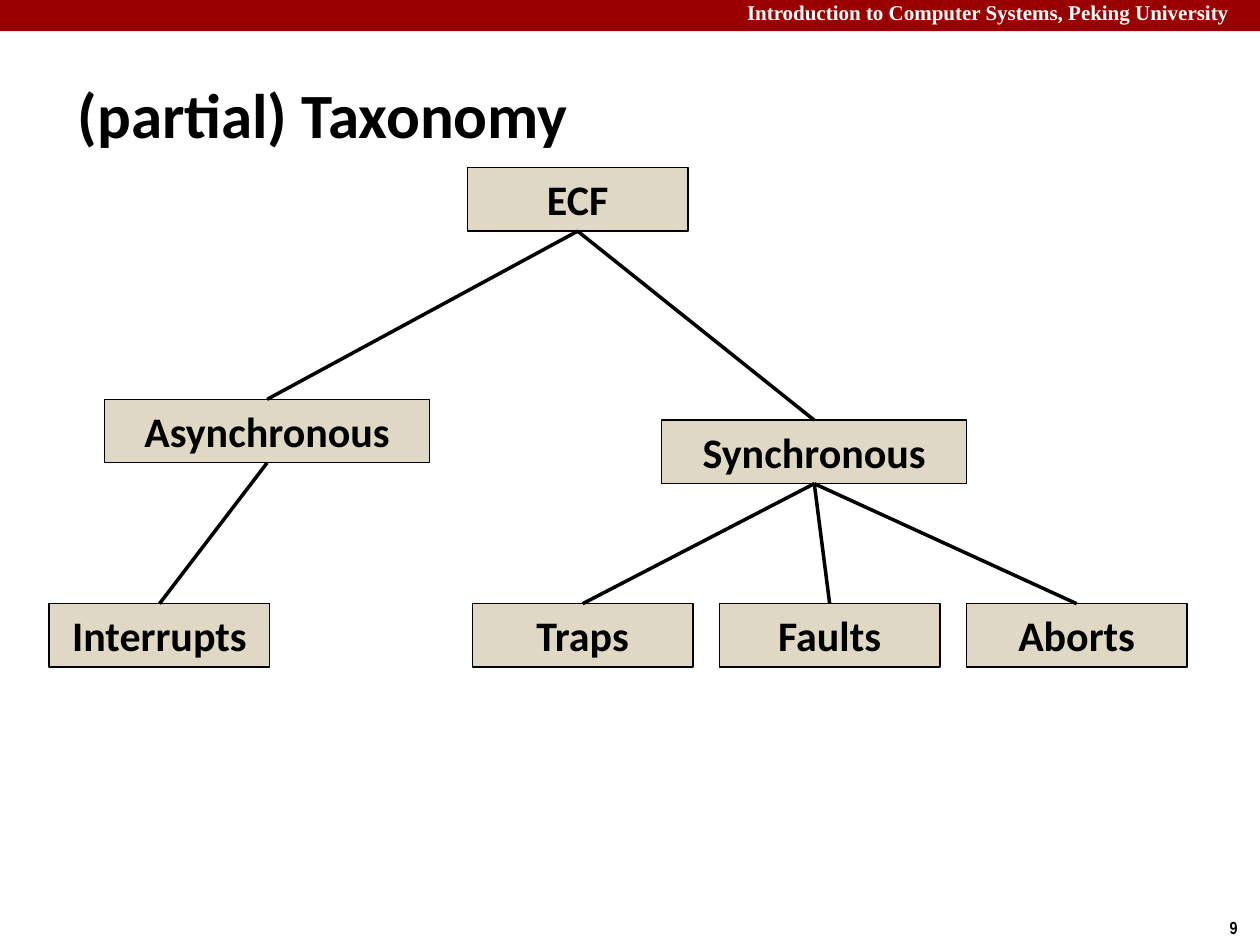
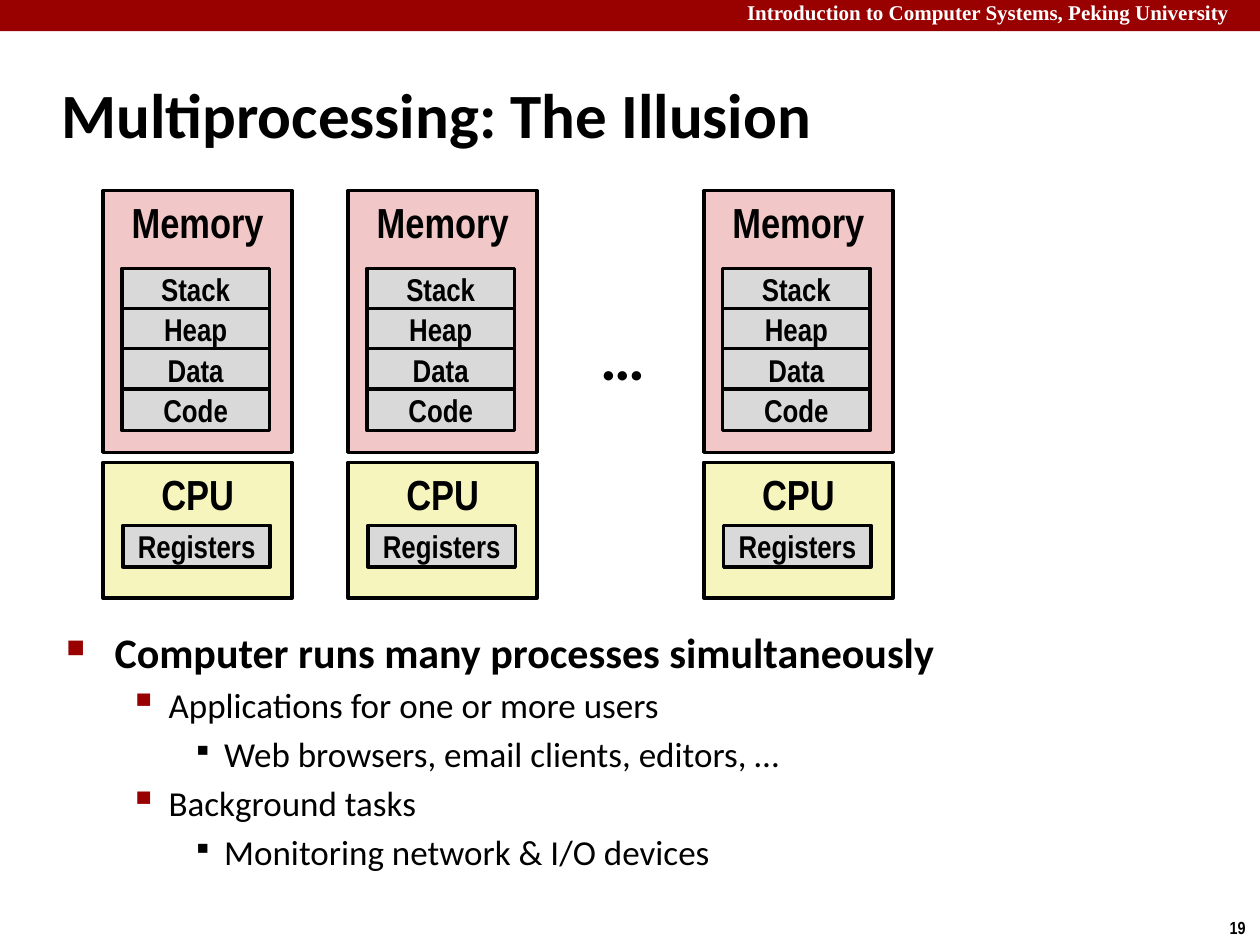
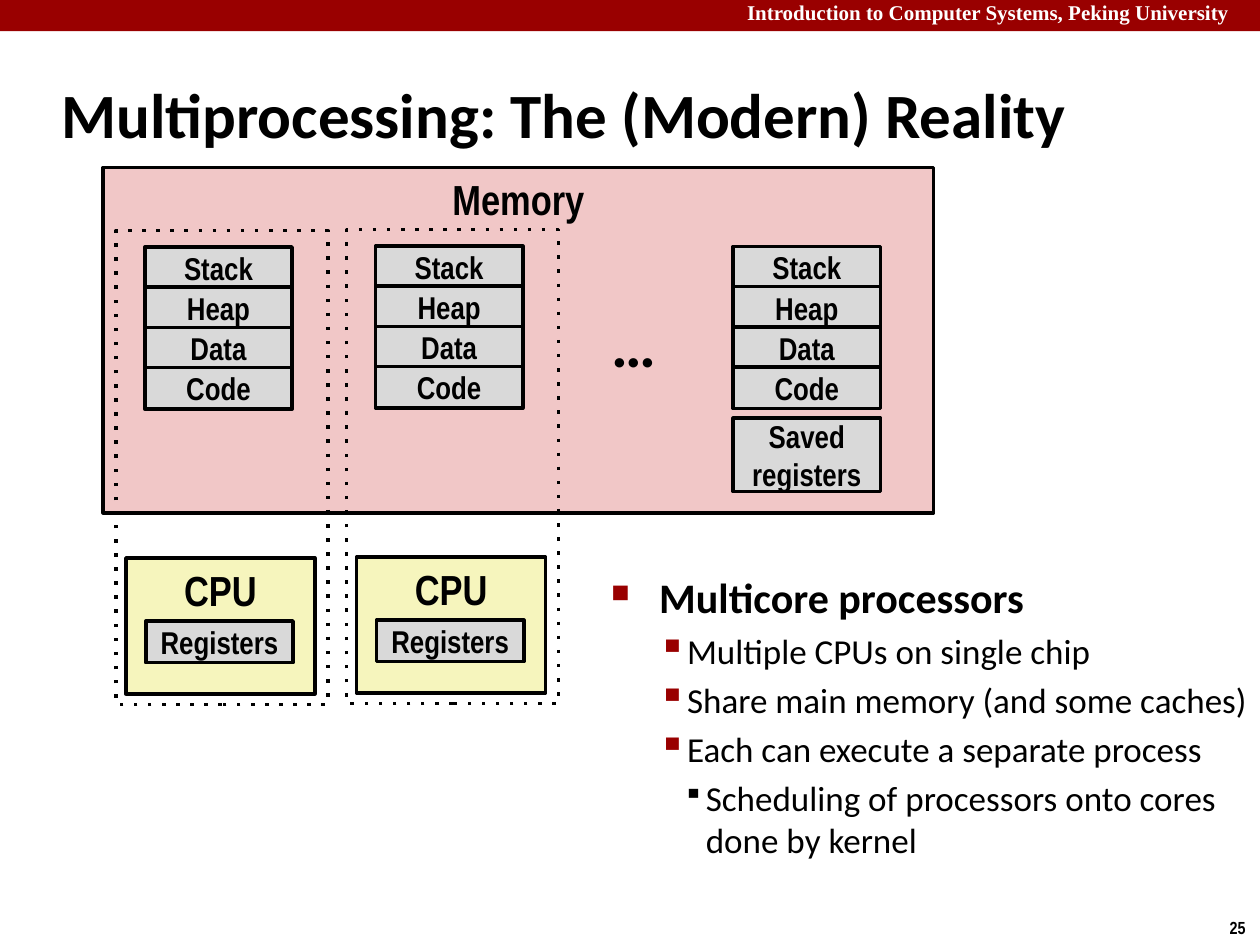
from lxml import etree
from pptx import Presentation
from pptx import util as u
from pptx.dml import color
from pptx.enum import dml, shapes, text
from pptx.oxml import ns

SLIDE_W, SLIDE_H = 25.4, 19.05
COLOURS = {"band": "990000", "node": "DED8C4", "memory": "F1C7C7",
           "cpu": "F6F5BD", "cell": "D9D9D9", "ink": "000000", "paper": "FFFFFF"}
BODY, NARROW, SERIF = "Calibri", "Arial Narrow", "Times New Roman"

CELL_W, CELL_H, CELL_PITCH = 2.97, 0.84, 0.81
CPU_W, CPU_H = 3.81, 2.74
SEGMENTS = ["Stack", "Heap", "Data", "Code"]

# bullet character, size in percent, colour, text size, bold, space before
LEVELS = [("■", 60, "band", 24, True, 5),
          ("▪", 110, "band", 20, False, 4),
          ("▪", 80, "ink", 20, False, 4)]


def rgb(name):
    return color.RGBColor.from_string(COLOURS[name])


def apply(target, **values):
    for name, value in values.items():
        setattr(target, name, value)


def cm(*lengths):
    return [u.Cm(length) for length in lengths]


def write(paragraph, words, size, font=BODY, ink="ink", bold=True):
    run = paragraph.add_run()
    run.text = words
    apply(run.font, name=font, size=u.Pt(size), bold=bold)
    run.font.color.rgb = rgb(ink)


def label(slide, box, words, size, font=BODY, ink="ink", **frame):
    """Add a text box with one paragraph and return that paragraph."""
    text_frame = slide.shapes.add_textbox(*cm(*box)).text_frame
    apply(text_frame, **{"word_wrap": True, **frame})
    paragraph = text_frame.paragraphs[0]
    write(paragraph, words, size, font, ink)
    return paragraph


def block(slide, box, fill=None, words="", size=18, font=NARROW,
          anchor=text.MSO_ANCHOR.TOP, line=2):
    """Add a rectangle; without fill it is see-through, without line unframed."""
    rectangle = slide.shapes.add_shape(shapes.MSO_SHAPE.RECTANGLE, *cm(*box))
    rectangle.shadow.inherit = False
    if fill:
        rectangle.fill.solid()
        rectangle.fill.fore_color.rgb = rgb(fill)
    else:
        rectangle.fill.background()
    if line:
        rectangle.line.color.rgb = rgb("ink")
        rectangle.line.width = u.Pt(line)
    else:
        rectangle.line.fill.background()
    if words:
        apply(rectangle.text_frame, word_wrap=True, vertical_anchor=anchor)
        paragraph = rectangle.text_frame.paragraphs[0]
        paragraph.alignment = text.PP_ALIGN.CENTER
        write(paragraph, words, size, font)
    return rectangle


def indent(paragraph, left, first):
    properties = paragraph._p.get_or_add_pPr()
    properties.set("marL", str(u.Cm(left)))
    properties.set("indent", str(u.Cm(first)))
    return properties


def new_slide(deck, title, number, title_w=21.08, title_first=-0.33):
    """Start a slide with the shared band, course name, number and title."""
    slide = deck.slides.add_slide(deck.slide_layouts[6])
    block(slide, (0, 0, SLIDE_W, 0.63), "band", line=None)
    label(slide, (14.81, -0.13, 10.59, 0.76),
          "Introduction to Computer Systems, Peking University", 12, SERIF, "paper")
    label(slide, (24.54, 18.36, 0.86, 0.69), str(number), 10, NARROW,
          word_wrap=False, auto_size=text.MSO_AUTO_SIZE.SHAPE_TO_FIT_TEXT)
    heading = label(slide, (0.99, 1.22, title_w, 2.11), title, 36,
                    vertical_anchor=text.MSO_ANCHOR.MIDDLE)
    indent(heading, 0.33, title_first)
    return slide


def bullets(slide, box, items, indents):
    """Write (level, words) items; indents holds (left, first) for each level."""
    frame = slide.shapes.add_textbox(*cm(*box)).text_frame
    frame.word_wrap = True
    for position, (level, words) in enumerate(items):
        mark, percent, ink, size, bold, before = LEVELS[level]
        paragraph = frame.paragraphs[0] if position == 0 else frame.add_paragraph()
        properties = indent(paragraph, *indents[level])
        bullet_colour = etree.SubElement(properties, ns.qn("a:buClr"))
        etree.SubElement(bullet_colour, ns.qn("a:srgbClr"), val=COLOURS[ink])
        etree.SubElement(properties, ns.qn("a:buSzPct"), val=str(percent * 1000))
        etree.SubElement(properties, ns.qn("a:buChar"), char=mark)
        paragraph.level = level
        if position:
            paragraph.space_before = u.Pt(before)
        write(paragraph, words, size, bold=bold)


def cell(slide, left, top, words, height=CELL_H):
    block(slide, (left, top, CELL_W, height), "cell", words,
          anchor=text.MSO_ANCHOR.MIDDLE)


def segment_stack(slide, left, top):
    for row, segment in enumerate(SEGMENTS):
        cell(slide, left, top + row * CELL_PITCH, segment)


def memory(slide, box):
    block(slide, box, "memory", "Memory", 24)


def cpu(slide, left, top):
    block(slide, (left, top, CPU_W, CPU_H), "cpu", "CPU", 24)
    cell(slide, left + 0.4, top + 1.27, "Registers")


def process(slide, left, top):
    """Draw a memory with its segments above a CPU of its own."""
    memory(slide, (left, top, CPU_W, 5.28))
    segment_stack(slide, left + 0.38, top + 1.57)
    cpu(slide, left, top + 5.48)


def core(slide, left, top):
    """Draw a dotted frame tying a segment stack to a CPU."""
    segment_stack(slide, left + 0.58, top + 0.33)
    cpu(slide, left + 0.2, top + 6.6)
    frame = block(slide, (left, top, 4.27, 9.55))
    frame.line.dash_style = dml.MSO_LINE.ROUND_DOT
    frame.element.spPr.find(".//" + ns.qn("a:prstDash")).set("val", "dot")


def ellipsis(slide, left, top):
    label(slide, (left, top, 1.42, 1.8), "…", 36, word_wrap=False,
          auto_size=text.MSO_AUTO_SIZE.SHAPE_TO_FIT_TEXT)


def branch(slide, parent, child):
    edge = slide.shapes.add_connector(shapes.MSO_CONNECTOR.STRAIGHT, 0, 0, 0, 0)
    edge.begin_connect(parent, 2)
    edge.end_connect(child, 0)
    edge.line.color.rgb = rgb("ink")
    edge.line.width = u.Pt(2)
    etree.SubElement(edge.element.spPr, ns.qn("a:effectLst"))


def taxonomy_slide(deck):
    slide = new_slide(deck, "(partial) Taxonomy", 9, title_first=0)
    leaf_w, leaf_top = 4.45, 12.17
    tree = [("ECF", None, 9.42, 3.38, leaf_w),
            ("Asynchronous", "ECF", 2.11, 8.05, 6.55),
            ("Synchronous", "ECF", 13.34, 8.47, 6.15),
            ("Interrupts", "Asynchronous", 0.99, leaf_top, leaf_w)]
    tree += [(kind, "Synchronous", 9.52 + column * 4.98, leaf_top, leaf_w)
             for column, kind in enumerate(["Traps", "Faults", "Aborts"])]
    nodes = {}
    for name, parent, left, top, width in tree:
        nodes[name] = block(slide, (left, top, width, 1.28), "node", name, 24,
                            BODY, line=0.75)
        if parent:
            branch(slide, nodes[parent], nodes[name])


def illusion_slide(deck):
    slide = new_slide(deck, "Multiprocessing: The Illusion", 19)
    for left in (2.08, 7.02, 14.19):
        process(slide, left, 3.84)
    ellipsis(slide, 11.86, 6.27)
    bullets(slide, (1.09, 12.5, 21.95, 5.49),
            [(0, "Computer runs many processes simultaneously"),
             (1, "Applications for one or more users"),
             (2, "Web browsers, email clients, editors, …"),
             (1, "Background tasks"),
             (2, "Monitoring network & I/O devices")],
            [(0.97, -0.97), (2.06, -0.79), (3.18, -0.64)])


def reality_slide(deck):
    slide = new_slide(deck, "Multiprocessing: The (Modern) Reality", 25, 23.57)
    memory(slide, (2.08, 3.38, 16.74, 6.96))
    core(slide, 2.34, 4.65)
    core(slide, 6.99, 4.63)
    ellipsis(slide, 12.07, 6.02)
    waiting_left = 14.78
    segment_stack(slide, waiting_left, 4.97)
    cell(slide, waiting_left, 8.43, "Saved registers", 1.48)
    bullets(slide, (12.07, 11.4, 13.77, 7.42),
            [(0, "Multicore processors"),
             (1, "Multiple CPUs on single chip"),
             (1, "Share main memory (and some caches)"),
             (1, "Each can execute a separate process"),
             (2, "Scheduling of processors onto cores done by kernel")],
            [(0.97, -0.97), (1.45, -0.5), (1.91, -0.46)])


def main():
    deck = Presentation()
    apply(deck, slide_width=u.Cm(SLIDE_W), slide_height=u.Cm(SLIDE_H))
    taxonomy_slide(deck)
    illusion_slide(deck)
    reality_slide(deck)
    deck.save("out.pptx")


if __name__ == "__main__":
    main()
